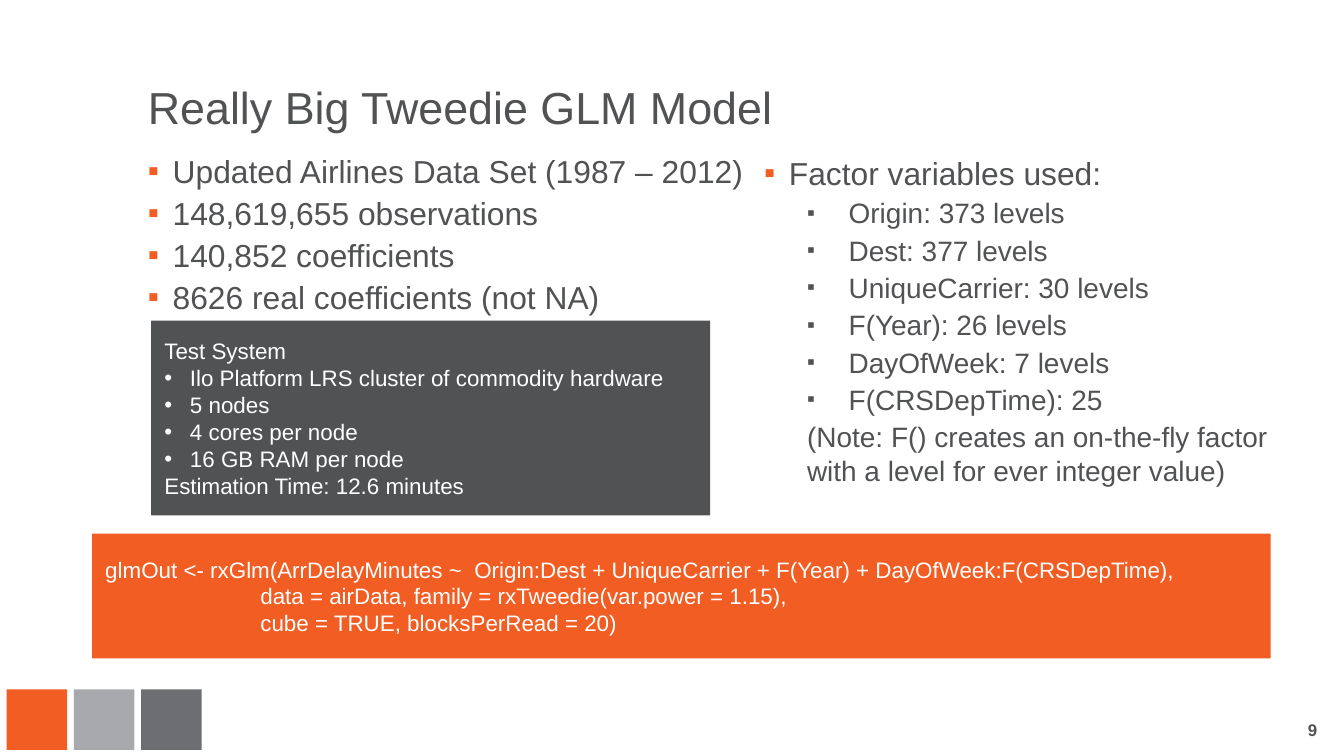
import pptx
import pptx.dml.color
import pptx.enum.shapes
import pptx.enum.text
import pptx.oxml.ns
import pptx.util
from lxml import etree

PX = 4572  # EMU, 200 px to the inch
FONT = "Arial"
COLORS = {
    "orange": "F15D22",
    "silver": "A7A9AC",
    "gray": "6D6E71",
    "dark": "515254",
    "white": "FFFFFF",
}
ANCHOR = pptx.enum.text.MSO_ANCHOR
ALIGN = pptx.enum.text.PP_ALIGN

DATA_FACTS = [
    "Updated Airlines Data Set (1987 – 2012)",
    "148,619,655 observations",
    "140,852 coefficients",
    "8626 real coefficients (not NA)",
]
FACTORS = [
    "Origin: 373 levels",
    "Dest: 377 levels",
    "UniqueCarrier: 30 levels",
    "F(Year): 26 levels",
    "DayOfWeek: 7 levels",
    "F(CRSDepTime): 25",
]
FACTOR_NOTE = ("(Note: F() creates an on-the-fly factor "
               "with a level for ever integer value)")
TEST_SYSTEM = [
    "Ilo Platform LRS cluster of commodity hardware",
    "5 nodes",
    "4 cores per node",
    "16 GB RAM per node",
]
CODE = [
    "glmOut <- rxGlm(ArrDelayMinutes ~  Origin:Dest + UniqueCarrier + F(Year) + DayOfWeek:F(CRSDepTime),",
    "                         data = airData, family = rxTweedie(var.power = 1.15),",
    "                         cube = TRUE, blocksPerRead = 20)",
]


def rgb(color):
    return pptx.dml.color.RGBColor.from_string(COLORS[color])


def px(*lengths):
    return [pptx.util.Emu(n * PX) for n in lengths]


def set_indent(p, left, hanging=0):
    pPr = p._p.get_or_add_pPr()
    pPr.set("marL", str(left * PX))
    pPr.set("indent", str(-hanging * PX))
    return pPr


def set_bullet(p, char, left, hanging, color=None, percent=None):
    pPr = set_indent(p, left, hanging)

    def add(parent, tag, **attributes):
        return etree.SubElement(parent, pptx.oxml.ns.qn(tag), **attributes)

    if color:
        add(add(pPr, "a:buClr"), "a:srgbClr", val=COLORS[color])
    if percent:
        add(pPr, "a:buSzPct", val=str(percent * 1000))
    add(pPr, "a:buFont", typeface=FONT)
    add(pPr, "a:buChar", char=char)


def set_font(p, size, color, bold=False):
    p.font.name = FONT
    p.font.size = pptx.util.Pt(size)
    p.font.bold = bold
    p.font.color.rgb = rgb(color)


def set_frame(tf, anchor, inset=None):
    tf.word_wrap = True
    tf.vertical_anchor = anchor
    if inset is not None:
        tf.margin_left = tf.margin_top = tf.margin_right = tf.margin_bottom = inset


def add_paragraph(tf, text, size, color, bullet=None, left=0, after=0, bold=False):
    """Fill the empty first paragraph or append one; bullet holds set_bullet arguments."""
    p = tf.paragraphs[0]
    if p.runs:
        p = tf.add_paragraph()
    p.add_run().text = text
    p.alignment = ALIGN.LEFT
    p.space_after = pptx.util.Pt(after)
    if bullet:
        set_bullet(p, **bullet)
    else:
        set_indent(p, left)
    set_font(p, size, color, bold)
    return p


def add_box(slide, box, fill):
    sp = slide.shapes.add_shape(pptx.enum.shapes.MSO_SHAPE.RECTANGLE, *px(*box))
    sp.shadow.inherit = False
    sp.fill.solid()
    sp.fill.fore_color.rgb = rgb(fill)
    sp.line.fill.background()
    set_frame(sp.text_frame, ANCHOR.MIDDLE)
    return sp.text_frame


def add_text(slide, box, anchor=ANCHOR.TOP, inset=None):
    tf = slide.shapes.add_textbox(*px(*box)).text_frame
    set_frame(tf, anchor, inset)
    return tf


def set_title(slide, text):
    title = slide.shapes.title
    title.left, title.top, title.width, title.height = px(220, 32, 1468, 168)
    set_frame(title.text_frame, ANCHOR.BOTTOM, 0)
    title.text_frame.text = text
    p = title.text_frame.paragraphs[0]
    p.alignment = ALIGN.LEFT
    p.line_spacing = 0.9
    set_font(p, 24, "dark")


def add_lists(slide):
    main_bullet = dict(char="▪", left=37, hanging=37, color="orange")
    sub_bullet = dict(char="▪", left=126, hanging=62, percent=80)

    tf = add_text(slide, (220, 226, 894, 366), inset=0)
    for fact in DATA_FACTS:
        add_paragraph(tf, fact, 17, "dark", main_bullet, after=2)

    tf = add_text(slide, (1137, 229, 814, 532), inset=0)
    add_paragraph(tf, "Factor variables used:", 17, "dark", main_bullet, after=2)
    for factor in FACTORS:
        add_paragraph(tf, factor, 15, "dark", sub_bullet, after=2)
    add_paragraph(tf, FACTOR_NOTE, 15, "dark", left=64, after=2)


def add_panels(slide):
    tf = add_box(slide, (137, 794, 1754, 186), "orange")
    for line in CODE:
        add_paragraph(tf, line, 12, "white")

    tf = add_box(slide, (225, 477, 832, 290), "dark")
    add_paragraph(tf, "Test System", 12, "white")
    for item in TEST_SYSTEM:
        add_paragraph(tf, item, 12, "white", dict(char="•", left=38, hanging=38))
    add_paragraph(tf, "Estimation Time: 12.6 minutes", 12, "white")


def add_footer(slide):
    for i, color in enumerate(("orange", "silver", "gray")):
        add_box(slide, (10 + 100 * i, 1026, 90, 90), color)
    tf = add_text(slide, (1514, 1056, 466, 60), ANCHOR.MIDDLE)
    p = add_paragraph(tf, "9", 9, "dark", bold=True)
    p.alignment = ALIGN.RIGHT


def main():
    prs = pptx.Presentation()
    prs.slide_width, prs.slide_height = px(2000, 1125)
    slide = prs.slides.add_slide(prs.slide_layouts[5])
    add_footer(slide)
    set_title(slide, "Really Big Tweedie GLM Model")
    add_lists(slide)
    add_panels(slide)
    prs.save("out.pptx")


if __name__ == "__main__":
    main()
